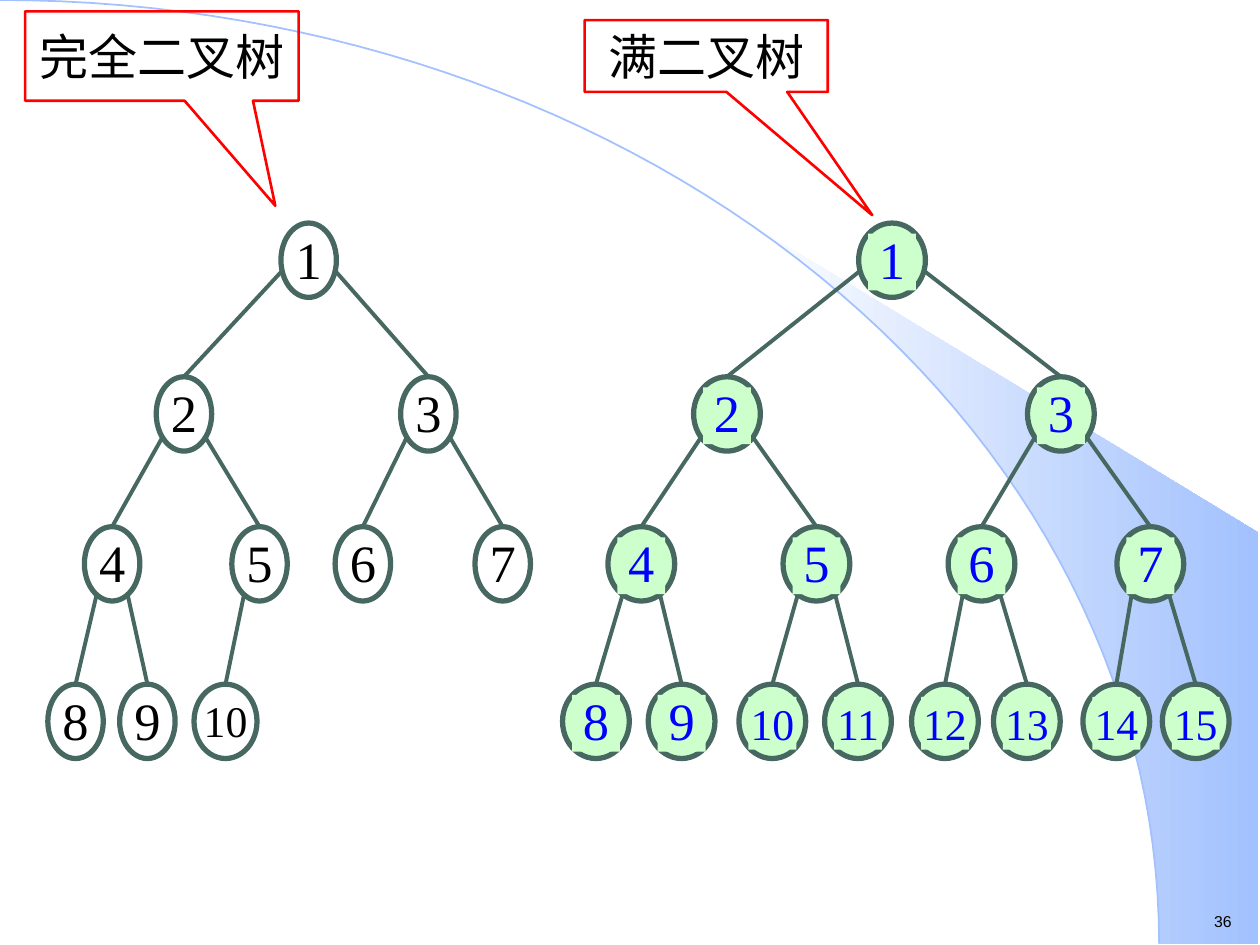
import math
from dataclasses import dataclass
from typing import Optional

import lxml.etree
import pptx
import pptx.dml.color
import pptx.enum.dml
import pptx.enum.shapes
import pptx.enum.text
import pptx.oxml.ns
import pptx.util

Inches = pptx.util.Inches
Pt = pptx.util.Pt
MSO_SHAPE = pptx.enum.shapes.MSO_SHAPE

LEVEL_TOPS = [1.77, 2.99, 4.18, 5.43]
EDGE_TOPS = [2.15, 3.48, 4.72]
EDGE_SPREADS = [0.48, 0.4, 0.28]
NODE_HEIGHT = 0.59
LABEL_MIDDLE = 0.31
GREEN = "466861"
SKY = "A2C1FE"
ARC_WIDTH, ARC_HEIGHT = 9.2, 7.49


@dataclass
class LabelStyle:
    node_width: float
    width: float
    height: float
    size: int
    spacing: float


@dataclass
class Tree:
    centers: list[float]
    one_digit: LabelStyle
    two_digits: LabelStyle
    color: str
    fill: Optional[str] = None


@dataclass
class Callout:
    text: str
    box: tuple[float, float, float, float]
    tip: tuple[float, float]


TREES = [
    Tree([2.45, 1.46, 3.4, 0.89, 2.06, 2.88, 3.99, 0.6, 1.17, 1.79],
         LabelStyle(0.44, 0.31, 0.45, 30, 0.9),
         LabelStyle(0.5, 0.35, 0.38, 25, 0.9), "000000"),
    Tree([7.08, 5.77, 8.42, 5.09, 6.48, 7.79, 9.13,
          4.73, 5.41, 6.13, 6.81, 7.5, 8.15, 8.86, 9.49],
         LabelStyle(0.53, 0.38, 0.45, 30, 0.9),
         LabelStyle(0.53, 0.38, 0.42, 25, 1.0), "0000FF", "CCFFCC"),
]
CALLOUTS = [
    Callout("完全二叉树", (0.2, 0.09, 2.17, 0.71), (0.415, 1.674)),
    Callout("满二叉树", (4.64, 0.16, 1.93, 0.57), (0.683, 2.217)),
]


def rgb(color: str) -> pptx.dml.color.RGBColor:
    return pptx.dml.color.RGBColor.from_string(color)


def paint(sp, fill: Optional[str], line: Optional[str] = None, width: float = 1) -> None:
    sp.shadow.inherit = False
    if fill:
        sp.fill.solid()
        sp.fill.fore_color.rgb = rgb(fill)
    else:
        sp.fill.background()
    if line:
        sp.line.color.rgb = rgb(line)
        sp.line.width = Pt(width)
    else:
        sp.line.fill.background()


def write(sp, text: str, size: int, color: str, font: str = "Times New Roman"):
    tf = sp.text_frame
    tf.word_wrap = True
    tf.margin_left = tf.margin_right = tf.margin_top = tf.margin_bottom = 0
    p = tf.paragraphs[0]
    p.text = text
    p.alignment = pptx.enum.text.PP_ALIGN.CENTER
    p.font.size = Pt(size)
    p.font.name = font
    p.font.color.rgb = rgb(color)
    return tf


def arc_points(start: float, steps: int = 60) -> list[tuple[float, float]]:
    angles = [start + (math.pi / 2 - start) * i / steps for i in range(steps + 1)]
    return [(ARC_WIDTH * math.sin(a), ARC_HEIGHT * (1 - math.cos(a))) for a in angles]


def add_outline(shapes, points: list[tuple[float, float]], close: bool):
    (x, y), *rest = [(Inches(x), Inches(y)) for x, y in points]
    builder = shapes.build_freeform(x, y)
    builder.add_line_segments(rest, close=close)
    return builder.convert_to_shape()


def add_background(shapes) -> None:
    fan = arc_points(math.asin(5.89 / ARC_WIDTH)) + [(9.99, 7.49), (9.99, 4.23)]
    sp = add_outline(shapes, fan, True)
    paint(sp, None)
    sp.fill.gradient()
    sp.fill.gradient_angle = 0
    for stop, color in zip(sp.fill.gradient_stops, ("FFFFFF", SKY)):
        stop.color.rgb = rgb(color)
    paint(add_outline(shapes, arc_points(0), False), None, SKY)


def add_edge(shapes, x1: float, y1: float, x2: float, y2: float) -> None:
    sp = shapes.add_connector(pptx.enum.shapes.MSO_CONNECTOR.STRAIGHT,
                              Inches(x1), Inches(y1), Inches(x2), Inches(y2))
    sp.line.color.rgb = rgb(GREEN)
    sp.line.width = Pt(2.25)
    lxml.etree.SubElement(sp._element.spPr, pptx.oxml.ns.qn("a:effectLst"))


def add_node(shapes, tree: Tree, number: int, center: float, top: float) -> None:
    style = tree.one_digit if number < 10 else tree.two_digits
    sp = shapes.add_shape(MSO_SHAPE.FLOWCHART_CONNECTOR,
                          Inches(center - style.node_width / 2), Inches(top),
                          Inches(style.node_width), Inches(NODE_HEIGHT))
    paint(sp, tree.fill, GREEN, 3)
    box = (Inches(center - style.width / 2),
           Inches(top + LABEL_MIDDLE - style.height / 2),
           Inches(style.width), Inches(style.height))
    if tree.fill:
        label = shapes.add_shape(MSO_SHAPE.RECTANGLE, *box)
        paint(label, tree.fill)
    else:
        label = shapes.add_textbox(*box)
    tf = write(label, str(number), style.size, tree.color)
    tf.vertical_anchor = pptx.enum.text.MSO_ANCHOR.TOP
    tf.auto_size = pptx.enum.text.MSO_AUTO_SIZE.SHAPE_TO_FIT_TEXT
    tf.paragraphs[0].line_spacing = style.spacing


def add_tree(shapes, tree: Tree) -> None:
    nodes = list(enumerate(tree.centers, 1))
    for number, center in nodes[1:]:
        level = number.bit_length() - 2
        side = 1 if number % 2 else -1
        reach = side * EDGE_SPREADS[level] * tree.one_digit.node_width
        add_edge(shapes, tree.centers[number // 2 - 1] + reach, EDGE_TOPS[level],
                 center, LEVEL_TOPS[level + 1])
    for number, center in nodes:
        add_node(shapes, tree, number, center, LEVEL_TOPS[number.bit_length() - 1])


def add_callout(shapes, callout: Callout) -> None:
    sp = shapes.add_shape(MSO_SHAPE.RECTANGULAR_CALLOUT, *map(Inches, callout.box))
    for i, value in enumerate(callout.tip):
        sp.adjustments[i] = value
    paint(sp, None, "FF0000", 1.5)
    tf = write(sp, callout.text, 28, "000000")
    tf.vertical_anchor = pptx.enum.text.MSO_ANCHOR.MIDDLE


def add_page_number(shapes) -> None:
    sp = shapes.add_textbox(Inches(9.53), Inches(7.19), Inches(0.35), Inches(0.25))
    tf = write(sp, "36", 9, "000000", "Arial")
    tf.word_wrap = False
    tf.margin_left = tf.margin_right = Inches(0.1)
    tf.margin_top = tf.margin_bottom = Inches(0.05)


def main() -> None:
    prs = pptx.Presentation()
    prs.slide_width, prs.slide_height = Inches(10), Inches(7.5)
    shapes = prs.slides.add_slide(prs.slide_layouts[6]).shapes
    add_background(shapes)
    add_page_number(shapes)
    for tree in TREES:
        add_tree(shapes, tree)
    for callout in CALLOUTS:
        add_callout(shapes, callout)
    prs.save("out.pptx")


if __name__ == "__main__":
    main()
